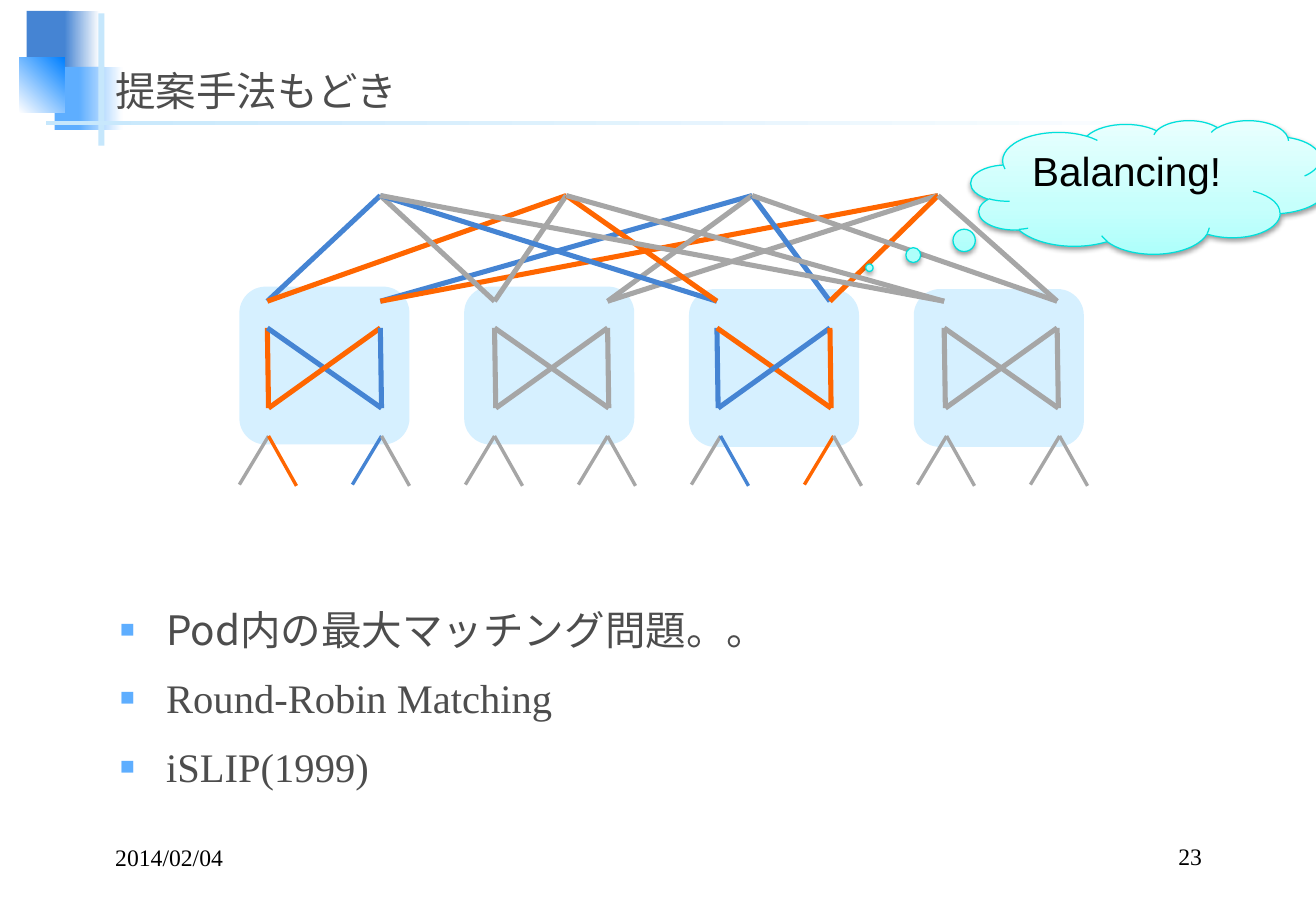
from copy import deepcopy
from dataclasses import dataclass

from lxml.etree import SubElement
from pptx import Presentation
from pptx.dml.color import RGBColor
from pptx.enum.shapes import MSO_CONNECTOR, MSO_SHAPE
from pptx.enum.text import MSO_ANCHOR, MSO_AUTO_SIZE, PP_ALIGN
from pptx.oxml.ns import qn
from pptx.util import Inches, Pt


@dataclass(frozen=True)
class Theme:
    blue: str = "4584D3"
    sky: str = "5EAEFF"
    azure: str = "0080FF"
    pale: str = "C6E7FC"
    white: str = "FFFFFF"
    pod: str = "D6F0FF"
    orange: str = "FF6600"
    gray: str = "A6A6A6"
    ink: str = "4D4D4D"
    black: str = "000000"
    cloud_edge: str = "00E0DB"
    cloud: tuple = ("AEFFFB", "C6FFFC", "E9FFFE")
    japanese: str = "Noto Sans CJK JP"
    serif: str = "Times New Roman"
    sans: str = "Arial"
    main_size: int = 24
    footer_size: int = 14
    link_width: float = 3
    host_width: float = 2


T = Theme()
BLUE, ORANGE, GRAY = T.blue, T.orange, T.gray

TITLE = "提案手法もどき"
BULLETS = [
    ("Pod内の最大マッチング問題。。", T.japanese),
    ("Round-Robin Matching", T.serif),
    ("iSLIP(1999)", T.serif),
]
CALLOUT = "Balancing!"
FOOTERS = [
    ("2014/02/04", (0.85, 6.9, 2.26, 0.32), PP_ALIGN.LEFT),
    ("23", (7.73, 6.9, 2.26, 0.31), PP_ALIGN.RIGHT),
]
# box, gradient or plain colours, gradient angle
DECORATION = [
    ((0.22, 0.09, 0.35, 0.52), (T.blue,), 0),
    ((0.53, 0.09, 0.29, 0.52), (T.blue, T.white), 0),
    ((0.45, 0.55, 0.41, 0.52), (T.sky,), 0),
    ((0.65, 0.55, 0.36, 0.52), (T.sky, T.white), 0),
    ((0.16, 0.47, 0.37, 0.46), (T.white, T.azure), 45),
    ((0.81, 0.11, 0.05, 1.09), (T.pale,), 0),
    ((0.38, 1, 9.75, 0.03), (T.pale, T.white), 0),
]
# box top, left switch x, uplink colours, edge switch colours, host link colours
PODS = [
    (2.36, 2.2, (BLUE, ORANGE), (ORANGE, BLUE), (GRAY, ORANGE, BLUE, GRAY)),
    (2.36, 4.07, (GRAY, GRAY), (GRAY, GRAY), (GRAY,) * 4),
    (2.38, 5.9, (BLUE, ORANGE), (BLUE, ORANGE), (GRAY, BLUE, ORANGE, GRAY)),
    (2.38, 7.77, (GRAY, GRAY), (GRAY, GRAY), (GRAY,) * 4),
]
POD_LEFT, POD_PITCH, POD_WIDTH, POD_HEIGHT = 1.97, 1.85, 1.4, 1.3
SWITCH_GAP = 0.93
CORE_LEFT, CORE_PITCH, CORE_Y = 3.13, 1.53, 1.61
UPLINK_Y, SWITCH_Y, EDGE_Y = 2.48, 2.7, 3.36
HOST_LEFT, HOST_PITCH, HOST_Y = 2.21, 0.93, 3.59
HOST_ENDS = [(-0.24, 3.99), (0.23, 4)]


def color(value):
    return RGBColor.from_string(value)


def paint(shape, stops, angle=0, positions=(0, 1)):
    """Fill with one plain colour, or with a gradient turned counter-clockwise by angle."""
    if len(stops) == 1:
        shape.fill.solid()
        shape.fill.fore_color.rgb = color(stops[0])
        return
    shape.fill.gradient()
    shape.fill.gradient_angle = angle
    stop_list = next(shape._element.spPr.iter(qn("a:gsLst")))
    while len(stop_list) < len(stops):
        stop_list.append(deepcopy(stop_list[-1]))
    for stop, value, position in zip(shape.fill.gradient_stops, stops, positions):
        stop.color.rgb = color(value)
        stop.position = position


def add_block(slide, kind, box, stops, angle=0, positions=(0, 1)):
    shape = slide.shapes.add_shape(kind, *map(Inches, box))
    shape.shadow.inherit = False
    paint(shape, stops, angle, positions)
    shape.line.fill.background()
    return shape


def add_link(slide, start, end, value, width):
    link = slide.shapes.add_connector(MSO_CONNECTOR.STRAIGHT, *map(Inches, start + end))
    link.line.color.rgb = color(value)
    link.line.width = Pt(width)
    SubElement(link._element.spPr, qn("a:effectLst"))


def add_text(paragraph, text, typeface, size, value):
    run = paragraph.add_run()
    run.text = text
    run.font.name = typeface
    run.font.size = Pt(size)
    run.font.color.rgb = color(value)
    run.font._element.find(qn("a:latin")).addnext(
        run.font._element.makeelement(qn("a:ea"), {"typeface": typeface}))


def add_box(slide, box):
    frame = slide.shapes.add_textbox(*map(Inches, box)).text_frame
    frame.word_wrap = True
    return frame


def add_bullet(paragraph):
    properties = paragraph._p.get_or_add_pPr()
    properties.set("marL", str(Inches(0.38)))
    properties.set("indent", str(-Inches(0.38)))
    SubElement(SubElement(properties, qn("a:buClr")), qn("a:srgbClr"), val=T.sky)
    SubElement(properties, qn("a:buSzPct"), val="60000")
    SubElement(properties, qn("a:buFont"), typeface=T.sans)
    SubElement(properties, qn("a:buChar"), char="■")


def add_title(slide):
    title = slide.shapes.title
    title.left, title.top, title.width, title.height = map(Inches, (0.85, 0.36, 9.29, 0.63))
    slide.shapes._spTree.append(title._element)  # in front of the decoration
    frame = title.text_frame
    frame.auto_size = MSO_AUTO_SIZE.NONE
    frame.vertical_anchor = MSO_ANCHOR.BOTTOM
    frame.paragraphs[0].alignment = PP_ALIGN.LEFT
    add_text(frame.paragraphs[0], TITLE, T.japanese, T.main_size, T.ink)


def add_bullets(slide):
    frame = add_box(slide, (0.89, 4.85, 9.06, 2.05))
    for index, (text, typeface) in enumerate(BULLETS):
        paragraph = frame.add_paragraph() if index else frame.paragraphs[0]
        paragraph.line_spacing = 1.2
        paragraph.space_before = Pt(6 if index else 0)
        add_bullet(paragraph)
        add_text(paragraph, text, typeface, T.main_size, T.ink)


def add_network(slide):
    for index, (top, *_) in enumerate(PODS):
        box = (POD_LEFT + index * POD_PITCH, top, POD_WIDTH, POD_HEIGHT)
        add_block(slide, MSO_SHAPE.ROUNDED_RECTANGLE, box, (T.pod,))
    for index, (_, left, uplinks, edges, hosts) in enumerate(PODS):
        for host, value in enumerate(hosts):
            x = HOST_LEFT + (2 * index + host // 2) * HOST_PITCH
            shift, y = HOST_ENDS[host % 2]
            add_link(slide, (x, HOST_Y), (x + shift, y), value, T.host_width)
        for side in range(2):
            x = left + side * SWITCH_GAP
            for other in range(2):
                edge = (left + 0.01 + other * SWITCH_GAP, EDGE_Y)
                add_link(slide, (x, SWITCH_Y), edge, edges[other], T.link_width)
                core = (CORE_LEFT + (2 * side + other) * CORE_PITCH, CORE_Y)
                add_link(slide, (x, UPLINK_Y), core, uplinks[other], T.link_width)


def add_callout(slide):
    cloud = add_block(slide, MSO_SHAPE.CLOUD_CALLOUT, (7.99, 0.99, 2.94, 1.1),
                      T.cloud, 90, (0, 0.35, 1))
    cloud.adjustments[0], cloud.adjustments[1] = -0.784, 0.604
    cloud.line.color.rgb = color(T.cloud_edge)
    cloud.line.width = Pt(0.75)
    shadow = SubElement(cloud._element.spPr.find(qn("a:effectLst")), qn("a:outerShdw"),
                        blurRad=str(Pt(3.1)), dist=str(Pt(1.6)), dir="5400000", rotWithShape="0")
    SubElement(SubElement(shadow, qn("a:srgbClr"), val=T.black), qn("a:alpha"), val="38000")
    cloud.text_frame.vertical_anchor = MSO_ANCHOR.TOP
    paragraph = cloud.text_frame.paragraphs[0]
    paragraph.alignment = PP_ALIGN.LEFT
    add_text(paragraph, CALLOUT, T.sans, T.main_size, T.black)


def main():
    deck = Presentation()
    deck.slide_width, deck.slide_height = Inches(10.83), Inches(7.5)
    slide = deck.slides.add_slide(deck.slide_layouts[5])
    for box, stops, angle in DECORATION:
        add_block(slide, MSO_SHAPE.RECTANGLE, box, stops, angle)
    add_title(slide)
    add_bullets(slide)
    add_network(slide)
    add_callout(slide)
    for text, box, alignment in FOOTERS:
        frame = add_box(slide, box)
        frame.vertical_anchor = MSO_ANCHOR.BOTTOM
        frame.paragraphs[0].alignment = alignment
        add_text(frame.paragraphs[0], text, T.serif, T.footer_size, T.black)
    deck.save("out.pptx")


if __name__ == "__main__":
    main()
